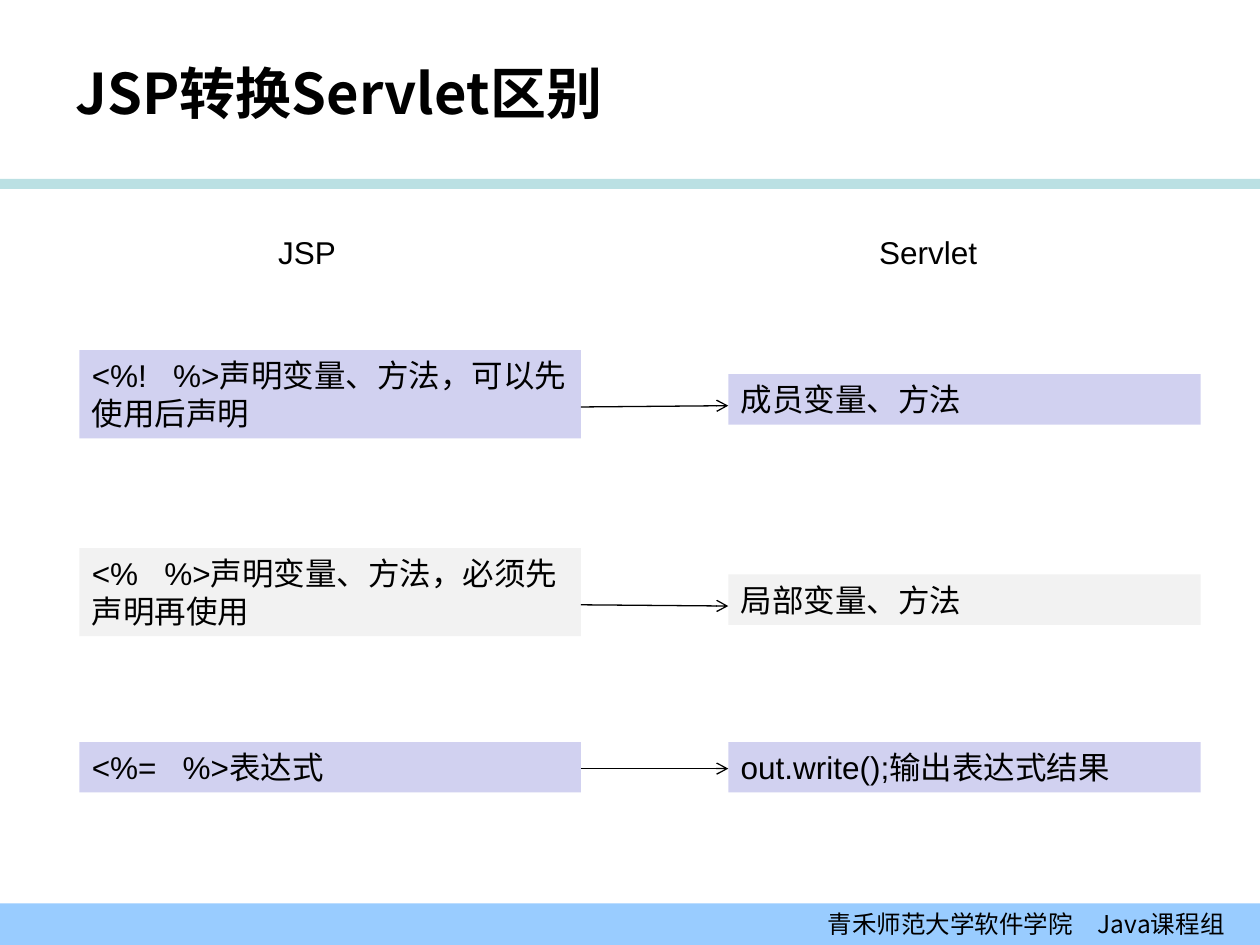
from lxml.etree import SubElement
from pptx import Presentation
from pptx.dml.color import RGBColor
from pptx.enum.shapes import MSO_CONNECTOR as Connector, MSO_SHAPE as Shape
from pptx.enum.text import MSO_ANCHOR as Anchor, PP_ALIGN as Align
from pptx.oxml.ns import qn
from pptx.util import Inches, Pt

BLACK = RGBColor(0x00, 0x00, 0x00)
TEAL = RGBColor(0xBB, 0xE0, 0xE3)
SKY = RGBColor(0x99, 0xCC, 0xFF)
LAVENDER = RGBColor(0xD1, 0xD1, 0xF0)
GREY = RGBColor(0xF2, 0xF2, 0xF2)

LATIN_FONT = "Arial"
CHINESE_FONT = "Noto Sans CJK SC"

SLIDE_WIDTH, SLIDE_HEIGHT = Inches(10), Inches(7.5)
COLUMNS, ROWS = 100, 75

JSP_LEFT, JSP_WIDTH = 6.3, 39.8
SERVLET_LEFT, SERVLET_WIDTH = 57.8, 37.5
LINE_HEIGHT, TWO_LINE_HEIGHT = 4, 7

HEADINGS = [("JSP", 21.1, 18), ("Servlet", 68.8, 15.6)]
MAPPINGS = [
    ("<%!   %>声明变量、方法，可以先使用后声明", "成员变量、方法",
     27.8, TWO_LINE_HEIGHT, 29.7, (32.3, 32.2), LAVENDER),
    ("<%   %>声明变量、方法，必须先声明再使用", "局部变量、方法",
     43.5, TWO_LINE_HEIGHT, 45.6, (48, 48.1), GREY),
    ("<%=   %>表达式", "out.write();输出表达式结果",
     58.9, LINE_HEIGHT, 58.9, (61, 61), LAVENDER),
]


def column(count):
    return round(SLIDE_WIDTH * count / COLUMNS)


def row(count):
    return round(SLIDE_HEIGHT * count / ROWS)


def grid_box(left, top, width, height):
    return column(left), row(top), column(width), row(height)


def write_text(shape, text, size=18, font=LATIN_FONT, bold=False,
               align=Align.LEFT, anchor=Anchor.TOP, right_inset=1):
    frame = shape.text_frame
    frame.word_wrap = True
    frame.vertical_anchor = anchor
    frame.margin_right = column(right_inset)
    paragraph = frame.paragraphs[0]
    paragraph.alignment = align
    run = paragraph.add_run()
    run.text = text
    run.font.size = Pt(size)
    run.font.name = font
    run.font.bold = bold
    run.font.color.rgb = BLACK
    east_asian = SubElement(run.font._element, qn("a:ea"))
    east_asian.set("typeface", CHINESE_FONT)


def add_label(slide, box, text, **text_format):
    label = slide.shapes.add_textbox(*grid_box(*box))
    write_text(label, text, **text_format)


def add_block(slide, box, color, text=None, **text_format):
    block = slide.shapes.add_shape(Shape.RECTANGLE, *grid_box(*box))
    block.shadow.inherit = False
    block.fill.solid()
    block.fill.fore_color.rgb = color
    block.line.fill.background()
    if text:
        write_text(block, text, **text_format)


def add_arrow(slide, start_row, end_row):
    arrow = slide.shapes.add_connector(
        Connector.STRAIGHT, column(JSP_LEFT + JSP_WIDTH), row(start_row),
        column(SERVLET_LEFT), row(end_row))
    arrow.line.color.rgb = BLACK
    arrow.line.width = Pt(0.74)
    SubElement(arrow.line._get_or_add_ln(), qn("a:tailEnd")).set("type", "arrow")
    SubElement(arrow._element.spPr, qn("a:effectLst"))


def add_mapping(slide, jsp, servlet, jsp_top, jsp_height, servlet_top,
                arrow_rows, color):
    add_block(slide, (JSP_LEFT, jsp_top, JSP_WIDTH, jsp_height), color, jsp)
    add_block(slide, (SERVLET_LEFT, servlet_top, SERVLET_WIDTH, LINE_HEIGHT),
              color, servlet)
    add_arrow(slide, *arrow_rows)


def main():
    presentation = Presentation()
    presentation.slide_width = SLIDE_WIDTH
    presentation.slide_height = SLIDE_HEIGHT
    slide = presentation.slides.add_slide(presentation.slide_layouts[6])

    add_block(slide, (0, 14.2, COLUMNS, 0.8), TEAL)
    add_block(slide, (0, 71.7, COLUMNS, 3.3), SKY, "青禾师范大学软件学院　Java课程组",
              size=14, font=CHINESE_FONT, align=Align.RIGHT,
              anchor=Anchor.MIDDLE, right_inset=2.8)
    add_label(slide, (5, 3, 80, 8.7), "JSP转换Servlet区别", size=32,
              font=CHINESE_FONT, bold=True, anchor=Anchor.MIDDLE)
    for text, left, width in HEADINGS:
        add_label(slide, (left, 18, width, LINE_HEIGHT), text)
    for mapping in MAPPINGS:
        add_mapping(slide, *mapping)

    presentation.save("out.pptx")


main()
